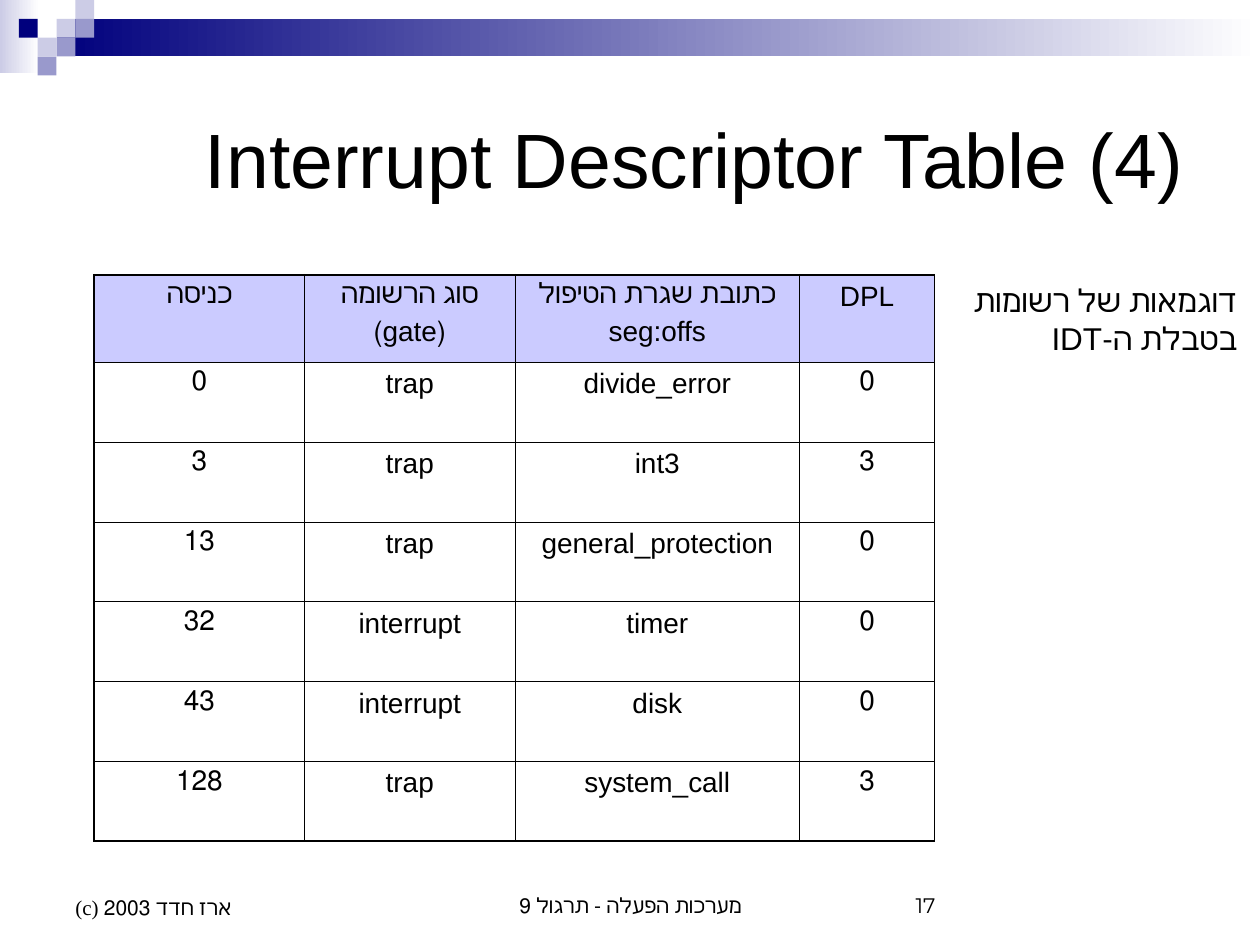
from dataclasses import dataclass

from lxml.etree import SubElement
from pptx import Presentation
from pptx.dml.color import RGBColor
from pptx.enum.shapes import MSO_SHAPE
from pptx.enum.text import MSO_ANCHOR, MSO_AUTO_SIZE, PP_ALIGN
from pptx.oxml import parse_xml
from pptx.oxml.ns import nsdecls, qn
from pptx.util import Cm, Pt


@dataclass(frozen=True)
class Theme:
    text: str = "000000"
    paper: str = "FFFFFF"
    navy: str = "00007D"
    lilac: str = "9999CC"
    pale: str = "CCCCE6"
    header: str = "9999FF"
    header_opacity: int = 50
    font: str = "Arial"
    footer_font: str = "Times New Roman"
    number_font: str = "Montserrat"
    title_size: int = 44
    note_size: int = 18
    table_size: int = 16
    footer_size: int = 12
    outer_line: float = 1.08
    inner_line: float = 0.45


TITLE_ONLY_LAYOUT = 5
MOSAIC_STEP = 0.38
COLUMN_WIDTHS = (4.24, 4.24, 5.74, 2.72)
HEADER_HEIGHT, ROW_HEIGHT = 1.76, 1.61
ROWS = (
    ("כניסה", "סוג הרשומה\n(gate)", "כתובת שגרת הטיפול\nseg:offs", "DPL"),
    ("0", "trap", "divide_error", "0"),
    ("3", "trap", "int3", "3"),
    ("13", "trap", "general_protection", "0"),
    ("32", "interrupt", "timer", "0"),
    ("43", "interrupt", "disk", "0"),
    ("128", "trap", "system_call", "3"),
)


class SlideBuilder:
    """Adds styled elements to one slide; boxes are (left, top, width, height) in cm."""

    def __init__(self, slide, theme):
        self.slide = slide
        self.theme = theme

    def set_text(self, frame, text, size, font=None, align=PP_ALIGN.LEFT, rtl=False,
                 space_before=0):
        frame.text = text
        for paragraph in frame.paragraphs:
            paragraph.alignment = align
            paragraph.space_before = Pt(space_before)
            paragraph.font.size = Pt(size)
            paragraph.font.name = font or self.theme.font
            paragraph.font.color.rgb = RGBColor.from_string(self.theme.text)
            if rtl:
                paragraph._p.get_or_add_pPr().set("rtl", "1")

    def title(self, text, box):
        shape = self.slide.shapes.title
        shape.left, shape.top, shape.width, shape.height = map(Cm, box)
        frame = shape.text_frame
        frame.vertical_anchor = MSO_ANCHOR.MIDDLE
        frame.auto_size = MSO_AUTO_SIZE.NONE
        self.set_text(frame, text, self.theme.title_size, align=PP_ALIGN.RIGHT, rtl=True)

    def rectangle(self, box, color, fade=False):
        """Draw a borderless block; with fade it runs from color to paper, left to right."""
        shape = self.slide.shapes.add_shape(MSO_SHAPE.RECTANGLE, *map(Cm, box))
        shape.shadow.inherit = False
        shape.line.fill.background()
        if fade:
            shape.fill.gradient()
            shape.fill.gradient_angle = 180
            for stop, stop_color in zip(shape.fill.gradient_stops, (self.theme.paper, color)):
                stop.color.rgb = RGBColor.from_string(stop_color)
        else:
            shape.fill.solid()
            shape.fill.fore_color.rgb = RGBColor.from_string(color)

    def note(self, text, box):
        frame = self.slide.shapes.add_textbox(*map(Cm, box)).text_frame
        frame.word_wrap = False
        frame.auto_size = MSO_AUTO_SIZE.SHAPE_TO_FIT_TEXT
        self.set_text(frame, text, self.theme.note_size, align=PP_ALIGN.RIGHT, rtl=True)

    def footer(self, text, box, font, align=PP_ALIGN.LEFT):
        frame = self.slide.shapes.add_textbox(*map(Cm, box)).text_frame
        frame.word_wrap = True
        frame.vertical_anchor = MSO_ANCHOR.BOTTOM
        self.set_text(frame, text, self.theme.footer_size, font, align)

    def cell_borders(self, cell, outer_sides):
        properties = cell._tc.get_or_add_tcPr()
        for index, side in enumerate("LRTB"):
            points = self.theme.outer_line if side in outer_sides else self.theme.inner_line
            border = parse_xml(
                f'<a:ln{side} {nsdecls("a")} w="{Pt(points)}"><a:solidFill>'
                f'<a:srgbClr val="{self.theme.text}"/></a:solidFill></a:ln{side}>'
            )
            properties.insert(index, border)

    def fill_header(self, cell):
        cell.fill.solid()
        cell.fill.fore_color.rgb = RGBColor.from_string(self.theme.header)
        color = cell._tc.tcPr.find(".//" + qn("a:srgbClr"))
        SubElement(color, qn("a:alpha"), val=str(self.theme.header_opacity * 1000))

    def table(self, rows, left, top):
        heights = [HEADER_HEIGHT] + [ROW_HEIGHT] * (len(rows) - 1)
        box = (left, top, sum(COLUMN_WIDTHS), sum(heights))
        table = self.slide.shapes.add_table(len(rows), len(COLUMN_WIDTHS), *map(Cm, box)).table
        table.first_row = table.horz_banding = False
        for column, width in zip(table.columns, COLUMN_WIDTHS):
            column.width = Cm(width)
        last_row, last_column = len(rows) - 1, len(COLUMN_WIDTHS) - 1
        for i, values in enumerate(rows):
            table.rows[i].height = Cm(heights[i])
            for j, value in enumerate(values):
                cell = table.cell(i, j)
                self.set_text(cell.text_frame, value, self.theme.table_size,
                              align=PP_ALIGN.CENTER, rtl=True, space_before=4)
                if i == 0:
                    self.fill_header(cell)
                else:
                    cell.fill.background()
                on_edge = {"L": j == 0, "R": j == last_column, "T": i == 0, "B": i == last_row}
                self.cell_borders(cell, [side for side, outer in on_edge.items() if outer])


def draw_banner(builder):
    theme = builder.theme
    builder.rectangle((0, 0, 0.79, 1.47), theme.pale, fade=True)
    builder.rectangle((1.14, 0.38, 24.26, 0.76), theme.navy, fade=True)
    mosaic = (
        (3, 1, theme.pale), (4, 0, theme.pale), (4, 1, theme.lilac), (2, 2, theme.pale),
        (1, 1, theme.navy), (3, 2, theme.lilac), (2, 3, theme.lilac),
    )
    for column, row, color in mosaic:
        builder.rectangle(
            (column * MOSAIC_STEP, row * MOSAIC_STEP, MOSAIC_STEP, MOSAIC_STEP), color)


def main():
    presentation = Presentation()
    presentation.slide_width, presentation.slide_height = Cm(25.4), Cm(19.05)
    slide = presentation.slides.add_slide(presentation.slide_layouts[TITLE_ONLY_LAYOUT])
    theme = Theme()
    builder = SlideBuilder(slide, theme)

    draw_banner(builder)
    builder.title("Interrupt Descriptor Table (4)", (1.27, 1.27, 22.86, 3.81))
    builder.table(ROWS, 1.9, 5.54)
    builder.note("דוגמאות של רשומות\nבטבלת ה-IDT", (19.3, 5.54, 5.89, 1.78))
    builder.footer("מערכות הפעלה - תרגול 9", (8.69, 17.35, 8.05, 1.27),
                   theme.footer_font, PP_ALIGN.CENTER)
    builder.footer("17", (18.21, 17.35, 5.92, 1.27), theme.number_font)
    builder.footer("(c) ארז חדד 2003", (1.27, 17.35, 5.92, 1.32), theme.footer_font)

    presentation.save("out.pptx")


if __name__ == "__main__":
    main()
